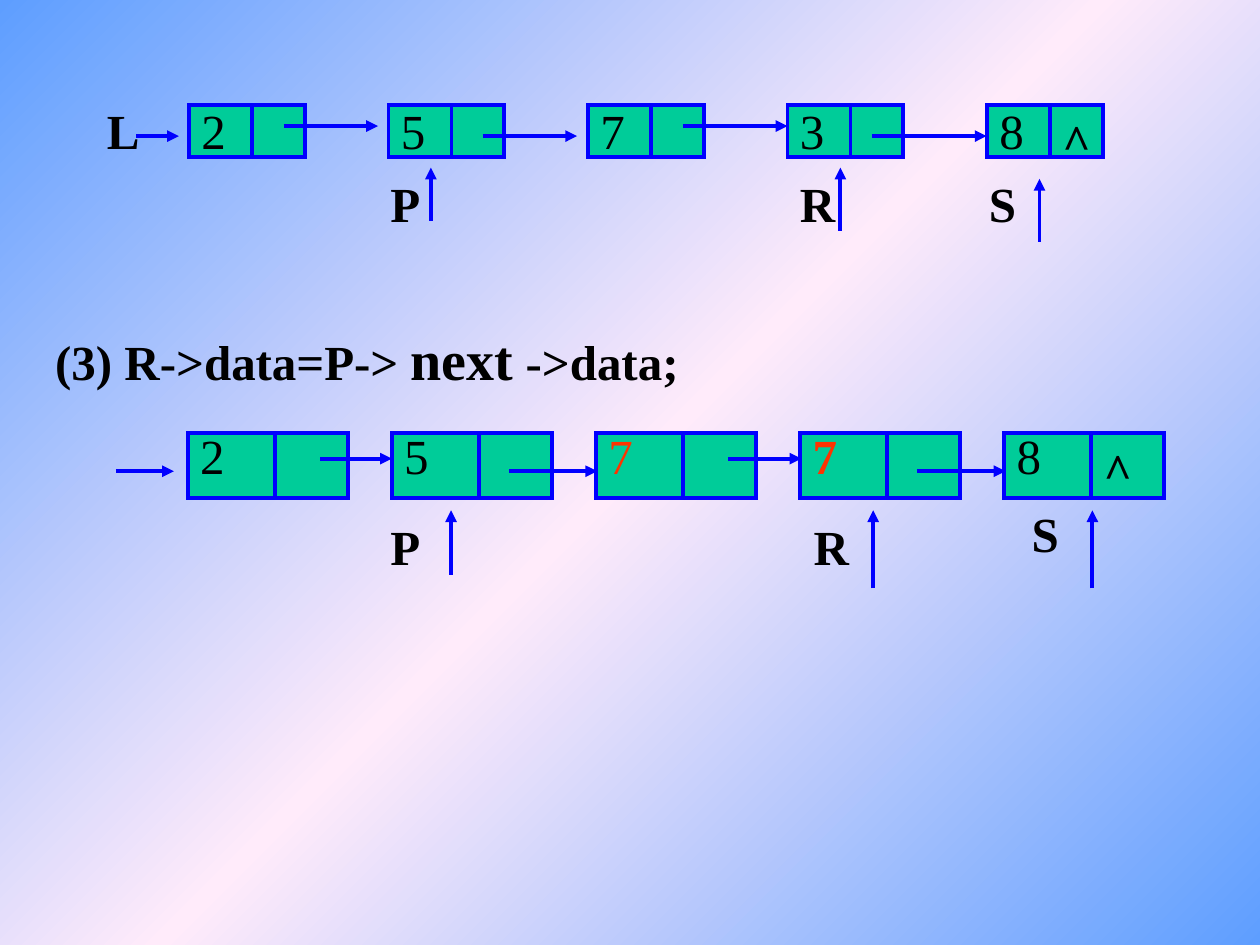
from copy import deepcopy
from dataclasses import dataclass

from lxml.etree import SubElement
from pptx import Presentation
from pptx.dml.color import RGBColor
from pptx.enum.shapes import MSO_CONNECTOR as Connector, MSO_SHAPE as Shape
from pptx.enum.text import MSO_AUTO_SIZE as AutoSize
from pptx.oxml.ns import qn
from pptx.util import Inches, Pt

COLORS = {
    "ink": "000000",
    "changed": "FF3300",
    "node": "00CC99",
    "line": "0000FF",
    "edge": "5E9EFF",
    "middle": "FFEBFA",
}
FONT = "Times New Roman"
TEXT_HEIGHT = 0.57


@dataclass
class ListRow:
    """Geometry and content of one drawn linked list."""
    left: float
    top: float
    pitch: float
    width: float
    height: float
    split: float
    text_top: float
    null_top: float
    values: list
    entry: tuple
    links: list
    labels: list
    pointers: list


BEFORE = ListRow(
    left=1.5, top=0.83, pitch=19 / 12, width=0.92, height=0.42, split=0.5,
    text_top=0.75, null_top=0.83,
    values=[("2", {}), ("5", {}), ("7", {}), ("3", {}), ("8", {})],
    entry=(1.08, 1.42, 1.08),
    links=[(2.25, 3, 1), (3.83, 4.58, 1.08), (5.42, 6.25, 1), (6.92, 7.83, 1.08)],
    labels=[("L", 0.75, 0.75, 0.5), ("P", 3, 1.33, 1.17),
            ("R", 6.25, 1.33, 0.83), ("S", 7.75, 1.33, 0.75)],
    pointers=[(3.42, 1.75, 1.33), (6.67, 1.83, 1.33), (8.25, 1.92, 1.42)],
)
AFTER = ListRow(
    left=1.49, top=3.44, pitch=1.62, width=1.27, height=0.51, split=0.69,
    text_top=3.33, null_top=3.44,
    values=[("2", {}), ("5", {}), ("7", {"color": "changed"}),
            ("7", {"color": "changed", "bold": True}), ("8", {})],
    entry=(0.92, 1.38, 3.74),
    links=[(2.54, 3.11, 3.64), (4.04, 4.74, 3.74), (5.78, 6.36, 3.64), (7.28, 7.98, 3.74)],
    labels=[("P", 3, 4.05, 1.62), ("R", 6.36, 4.05, 1.16), ("S", 8.09, 3.95, 0.5)],
    pointers=[(3.58, 4.56, 4.05), (6.93, 4.67, 4.05), (8.67, 4.67, 4.05)],
)


def rgb(name):
    """Look up a named colour."""
    return RGBColor.from_string(COLORS[name])


def paint_background(slide):
    """Fill the slide with a diagonal blue, pink, blue gradient."""
    fill = slide.background.fill
    fill.gradient()
    fill.gradient_angle = 135
    first = slide.background._cSld.find(".//" + qn("a:gs"))
    first.addnext(deepcopy(first))
    for stop, position, color in zip(fill.gradient_stops, (0, 0.5, 1), ("edge", "middle", "edge")):
        stop.position = position
        stop.color.rgb = rgb(color)


def add_text(slide, runs, left, top, width, height=TEXT_HEIGHT, *, color="ink", bold=False):
    """Add a one-paragraph text box from (text, size) runs."""
    frame = slide.shapes.add_textbox(
        Inches(left), Inches(top), Inches(width), Inches(height)).text_frame
    frame.word_wrap = True
    frame.auto_size = AutoSize.SHAPE_TO_FIT_TEXT
    for text, size in runs:
        run = frame.paragraphs[0].add_run()
        run.text = text
        run.font.name = FONT
        run.font.size = Pt(size)
        run.font.bold = bold
        run.font.color.rgb = rgb(color)


def add_line(slide, x1, y1, x2, y2, arrow=False):
    """Add a straight line, with an arrowhead at its end if asked."""
    line = slide.shapes.add_connector(
        Connector.STRAIGHT, Inches(x1), Inches(y1), Inches(x2), Inches(y2))
    line.line.color.rgb = rgb("line")
    line.line.width = Pt(2.25)
    if arrow:
        SubElement(line.line._get_or_add_ln(), qn("a:tailEnd"), type="triangle")
    SubElement(line._element.spPr, qn("a:effectLst"))


def add_node(slide, row, left, value, style):
    """Add a list node with its data and link fields."""
    node = slide.shapes.add_shape(
        Shape.RECTANGLE, Inches(left), Inches(row.top), Inches(row.width), Inches(row.height))
    node.shadow.inherit = False
    node.fill.solid()
    node.fill.fore_color.rgb = rgb("node")
    node.line.color.rgb = rgb("line")
    node.line.width = Pt(2.25)
    SubElement(node.line._get_or_add_ln(), qn("a:miter"), lim="800000")
    divider = left + row.split
    add_line(slide, divider, row.top, divider, row.top + row.height)
    add_text(slide, [(value, 28)], left, row.text_top, row.split, **style)


def add_list(slide, row):
    """Draw a linked list with its links, labels and pointers."""
    for index, (value, style) in enumerate(row.values):
        left = row.left + index * row.pitch
        add_node(slide, row, left, value, style)
    add_text(slide, [("^", 28)], left + row.split, row.null_top,
             row.width - row.split, bold=True)
    for start, end, y in [row.entry, *row.links]:
        add_line(slide, start, y, end, y, arrow=True)
    for label, x, y, width in row.labels:
        add_text(slide, [(label, 28)], x, y, width, bold=True)
    for x, bottom, tip in row.pointers:
        add_line(slide, x, bottom, x, tip, arrow=True)


def main():
    """Build the slide and save it."""
    deck = Presentation()
    deck.slide_width, deck.slide_height = Inches(10), Inches(7.5)
    slide = deck.slides.add_slide(deck.slide_layouts[6])
    paint_background(slide)
    add_list(slide, BEFORE)
    add_text(slide, [("(3) R->data=P-> ", 28), ("next", 32), (" ->data;", 28)],
             0.34, 2.53, 5.4, 0.64, bold=True)
    add_list(slide, AFTER)
    deck.save("out.pptx")


if __name__ == "__main__":
    main()
